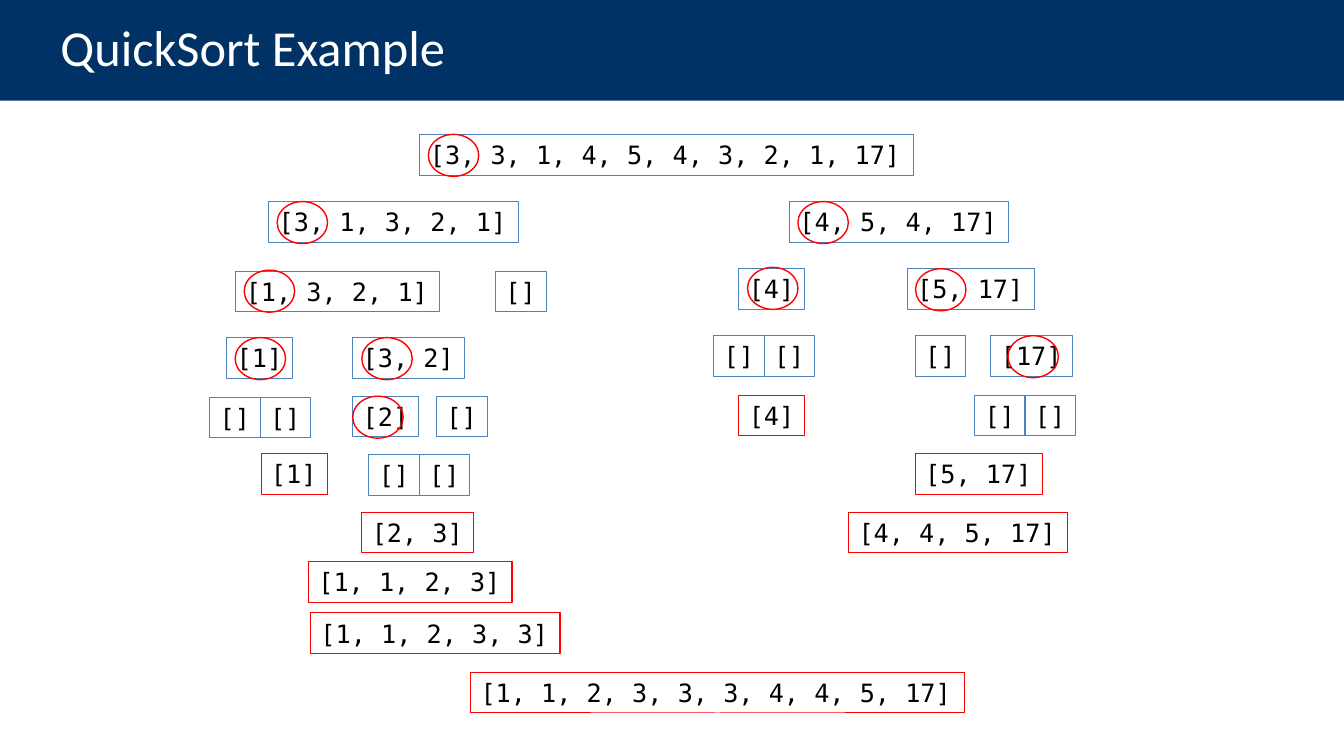
import pptx
import pptx.dml.color
import pptx.enum.shapes
import pptx.enum.text
import pptx.util

Pt = pptx.util.Pt
SHAPES = pptx.enum.shapes.MSO_SHAPE
ANCHOR = pptx.enum.text.MSO_ANCHOR

# Content: positions in points
TITLE = "QuickSort Example"

# Lists being split: left, top, text, pivot ring offset (None if no ring)
SPLITS = [
    (300, 96, "[3, 3, 1, 4, 5, 4, 3, 2, 1, 17]", (6, 0)),
    (192, 144, "[3, 1, 3, 2, 1]", (6, 0)),
    (564, 144, "[4, 5, 4, 17]", (6, 0)),
    (168.5, 193.7, "[1, 3, 2, 1]", (6, -0.7)),
    (354, 193.7, "[]", None),
    (162, 241.2, "[1]", (6, 0)),
    (252, 241.2, "[3, 2]", (6.5, 0)),
    (149.8, 283.7, "[]", None),
    (185.8, 283.7, "[]", None),
    (252, 283, "[2]", (0, 0)),
    (311.8, 283, "[]", None),
    (263.5, 324.7, "[]", None),
    (299.5, 324.7, "[]", None),
    (527.8, 192, "[4]", (6.2, -1)),
    (648, 192, "[5, 17]", (6, 0)),
    (509.8, 239.8, "[]", None),
    (545.8, 239.8, "[]", None),
    (653.8, 239.8, "[]", None),
    (707.8, 239.8, "[17]", (12.2, 0)),
    (696.2, 282.2, "[]", None),
    (732.2, 282.2, "[]", None),
]

# Sorted lists being joined: left, top, text
JOINS = [
    (186.5, 324, "[1]"),
    (258.5, 365.8, "[2, 3]"),
    (220.3, 401, "[1, 1, 2, 3]"),
    (221.8, 437.8, "[1, 1, 2, 3, 3]"),
    (527.8, 282.2, "[4]"),
    (653.8, 324, "[5, 17]"),
    (606.2, 365.8, "[4, 4, 5, 17]"),
    (336.2, 480.2, "[1, 1, 2, 3, 3, 3, 4, 4, 5, 17]"),
]

NAVY, BLUE, RED, BLACK, WHITE = "003265", "4F81BD", "FF0000", "000000", "FFFFFF"
PAGE_WIDTH, PAGE_HEIGHT = 960, 540
CHAR_WIDTH, SIDE_INSET, EDGE_INSET = 10.92, 7.2, 3.6
BOX_HEIGHT = 29.1
RING_WIDTH, RING_HEIGHT = 36, 30


def colour(value):
    return pptx.dml.color.RGBColor.from_string(value)


def add_outline(page, kind, left, top, width, height, fill=None, line=None, weight=0.75):
    shape = page.shapes.add_shape(kind, Pt(left), Pt(top), Pt(width), Pt(height))
    shape.shadow.inherit = False
    if fill:
        shape.fill.solid()
        shape.fill.fore_color.rgb = colour(fill)
    else:
        shape.fill.background()
    if line:
        shape.line.color.rgb = colour(line)
        shape.line.width = Pt(weight)
    else:
        shape.line.fill.background()
    return shape


def write(shape, text, font="DejaVu Sans Mono", size=18, ink=BLACK, anchor=ANCHOR.TOP,
          left=SIDE_INSET, right=SIDE_INSET, spacing=1.0, wrap=False):
    frame = shape.text_frame
    frame.word_wrap = wrap
    frame.vertical_anchor = anchor
    frame.margin_left, frame.margin_right = Pt(left), Pt(right)
    frame.margin_top = frame.margin_bottom = Pt(EDGE_INSET)
    para = frame.paragraphs[0]
    para.alignment = pptx.enum.text.PP_ALIGN.LEFT
    para.line_spacing = spacing
    span = para.add_run()
    span.text = text
    span.font.name = font
    span.font.size = Pt(size)
    span.font.color.rgb = colour(ink)


def add_list(page, left, top, text, line):
    width = 2 * SIDE_INSET + CHAR_WIDTH * len(text)
    box = add_outline(page, SHAPES.RECTANGLE, left, top, width, BOX_HEIGHT, line=line)
    write(box, text)


def main():
    deck = pptx.Presentation()
    deck.slide_width, deck.slide_height = Pt(PAGE_WIDTH), Pt(PAGE_HEIGHT)
    page = deck.slides.add_slide(deck.slide_layouts[6])

    # Title band
    band = add_outline(page, SHAPES.RECTANGLE, 0, 0, PAGE_WIDTH, 72, fill=NAVY)
    write(band, TITLE, font="Calibri", size=36, ink=WHITE, anchor=ANCHOR.MIDDLE,
          left=43.2, right=72, spacing=0.9, wrap=True)

    # Splitting steps with ringed pivots
    for left, top, text, pivot in SPLITS:
        add_list(page, left, top, text, BLUE)
        if pivot:
            add_outline(page, SHAPES.OVAL, left + pivot[0], top + pivot[1],
                        RING_WIDTH, RING_HEIGHT, line=RED, weight=1)

    # Joining steps
    for left, top, text in JOINS:
        add_list(page, left, top, text, RED)

    deck.save("out.pptx")


if __name__ == "__main__":
    main()
